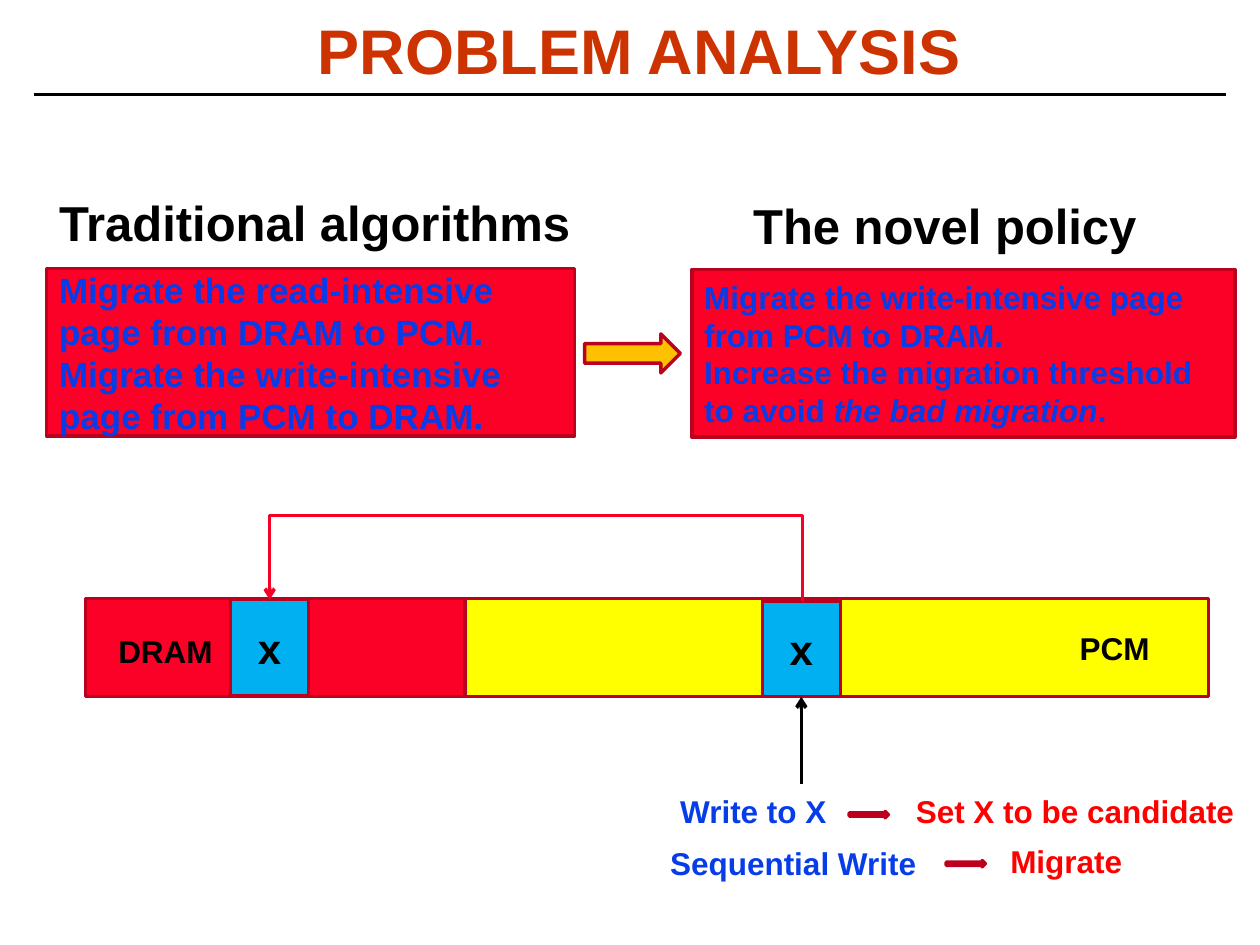
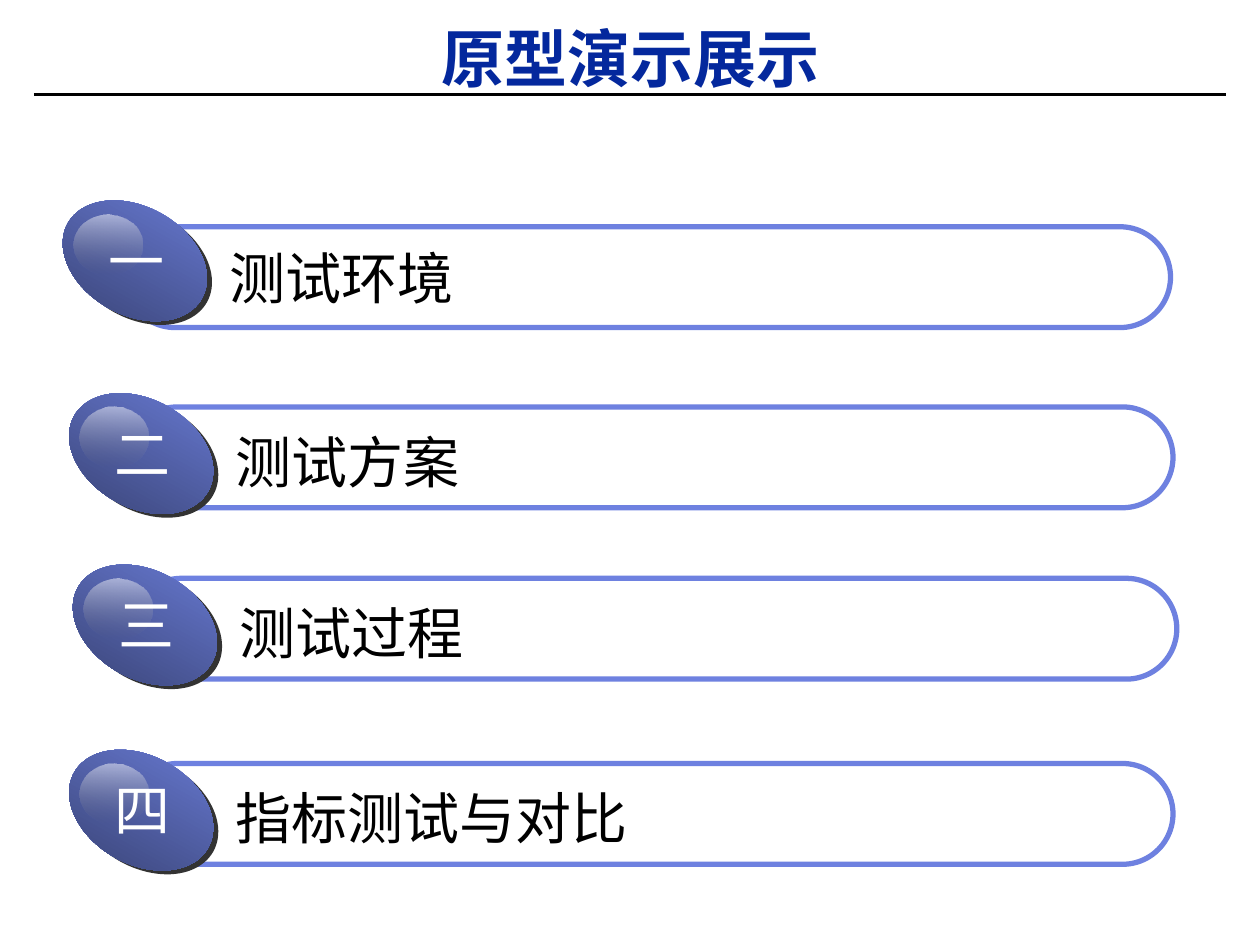
"""Build two slides: a page migration analysis and a prototype demo agenda."""
from pptx import Presentation
from pptx.dml.color import RGBColor
from pptx.enum.shapes import MSO_CONNECTOR as Link, MSO_SHAPE as Preset
from pptx.enum.text import MSO_ANCHOR as Anchor, MSO_AUTO_SIZE as AutoSize, PP_ALIGN as Align
from pptx.oxml.ns import qn
from pptx.util import Inches, Pt
from lxml.etree import SubElement

FONT = "Arial"
COLORS = {
    "black": "000000", "white": "FFFFFF", "orange": "CC3300", "navy": "04289D",
    "blue": "063DE8", "red": "FF0000", "dram": "FC0128", "edge": "BA011E",
    "pcm": "FFFF00", "cell": "00B0F0", "amber": "FFC000", "route": "F70026",
    "pill": "6E81E0", "ball": "333C68", "shade": "333333", "gray": "767676",
}

TITLES = [
    ("PROBLEM ANALYSIS", "orange", (0.26, 0.14, 9.63, 0.58)),
    ("原型演示展示", "navy", (1.14, 0.21, 7.72, 0.79)),
]
POLICIES = [
    ((0.37, 2.13, 4.19, 1.33), 20, [
        "Migrate the read-intensive page from DRAM to PCM.",
        "Migrate the write-intensive page from PCM to DRAM."]),
    ((5.49, 2.14, 4.31, 1.33), 18, [
        "Migrate the write-intensive page from PCM to DRAM.",
        "Increase the migration threshold to avoid *the bad migration*."]),
]
MEMORY = [
    ((3.69, 4.75, 5.9, 0.78), "pcm"),
    ((0.68, 4.75, 3.01, 0.78), "dram"),
]
CELLS = [(6.05, 4.77, 0.62, 0.76), (1.83, 4.76, 0.62, 0.76)]
ARROWS = [
    ((4.64, 2.65, 0.76, 0.31), "amber"),
    ((6.74, 6.44, 0.31, 0.05), "dram"),
    ((7.51, 6.83, 0.31, 0.05), "dram"),
]
LABELS = [
    ("Traditional algorithms", (0.37, 1.48, 4.35, 0.57), 28, "black"),
    ("The novel policy", (5.88, 1.5, 3.7, 0.57), 28, "black"),
    ("DRAM", (0.84, 4.97, 0.99, 0.4), 18, "black"),
    ("PCM", (8.47, 4.94, 0.99, 0.4), 18, "black"),
    ("Write to X", (5.3, 6.24, 1.6, 0.4), 18, "blue"),
    ("Set X to be candidate", (7.17, 6.24, 2.83, 0.4), 18, "red"),
    ("Sequential Write", (5.22, 6.65, 2.19, 0.4), 18, "blue"),
    ("Migrate", (7.92, 6.63, 1.2, 0.4), 18, "red"),
]
AGENDA = [
    ("一", "测试环境", (0.46, 1.64), (0.53, 0.16), 0.16),
    ("二", "测试方案", (0.51, 3.17), (0.5, 0.06), 0.09),
    ("三", "测试过程", (0.54, 4.53), (0.5, 0.06), 0.09),
    ("四", "指标测试与对比", (0.51, 6.0), (0.5, 0.06), 0.09),
]


def rgb(name):
    return RGBColor.from_string(COLORS[name])


def inches(values):
    return [Inches(value) for value in values]


def write(frame, paragraphs, size, color, bold=True, align=Align.LEFT, spacing=None):
    frame.word_wrap = True
    frame.auto_size = AutoSize.NONE
    for index, text in enumerate(paragraphs):
        para = frame.paragraphs[0] if index == 0 else frame.add_paragraph()
        para.alignment = align
        para.line_spacing = spacing
        for part, piece in enumerate(text.split("*")):
            span = para.add_run()
            span.text = piece
            font = span.font
            font.name, font.size, font.bold = FONT, Pt(size), bold
            font.italic = part % 2 == 1
            font.color.rgb = rgb(color)


def add_label(shapes, text, place, size, color, **style):
    box = shapes.add_textbox(*inches(place))
    write(box.text_frame, [text], size, color, **style)


def add_box(shapes, preset, place, fill=None, line=None, width=2):
    box = shapes.add_shape(preset, *inches(place))
    box.shadow.inherit = False
    if fill:
        box.fill.solid()
        box.fill.fore_color.rgb = rgb(fill)
    else:
        box.fill.background()
    if line:
        box.line.color.rgb = rgb(line)
        box.line.width = Pt(width)
    else:
        box.line.fill.background()
    box.text_frame.vertical_anchor = Anchor.MIDDLE
    return box


def shade(box, colors, opacities=()):
    box.fill.gradient()
    box.fill.gradient_angle = 270
    for stop, color in zip(box.fill.gradient_stops, colors):
        stop.color.rgb = rgb(color)
    for node, opacity in zip(box.element.iter(qn("a:srgbClr")), opacities):
        SubElement(node, qn("a:alpha")).set("val", str(opacity * 1000))


def add_line(shapes, kind, start, end, color, width, arrow=False):
    line = shapes.add_connector(kind, *inches(start + end))
    line.line.color.rgb = rgb(color)
    line.line.width = Pt(width)
    if arrow:
        SubElement(line.line._get_or_add_ln(), qn("a:tailEnd")).set("type", "arrow")
    SubElement(line.element.spPr, qn("a:effectLst"))
    return line


def add_page(deck, text, color, place):
    page = deck.slides.add_slide(deck.slide_layouts[5])
    title = page.shapes.title
    title.left, title.top, title.width, title.height = inches(place)
    frame = title.text_frame
    frame.vertical_anchor = Anchor.TOP
    frame.margin_left = frame.margin_right = Inches(0.07)
    frame.margin_top = frame.margin_bottom = Inches(0.03)
    write(frame, [text], 36, color, align=Align.CENTER, spacing=0.87)
    add_line(page.shapes, Link.STRAIGHT, (0.27, 0.75), (9.73, 0.75), "black", 1.5)
    return page


def add_migration_route(shapes):
    span, rise = 0.01, 0.69
    route = add_line(shapes, Link.ELBOW, (4.25, 6.88), (4.25 + span, 2.65), "route", 2, True)
    route.element.spPr.find(qn("a:xfrm")).set("rot", str(270 * 60000))
    geometry = route.element.spPr.find(qn("a:prstGeom"))
    adjust = geometry.find(qn("a:avLst"))
    if adjust is None:
        adjust = SubElement(geometry, qn("a:avLst"))
    guide = SubElement(adjust, qn("a:gd"))
    guide.set("name", "adj1")
    guide.set("fmla", f"val {round(rise / span * 100000)}")


def build_analysis(deck):
    shapes = add_page(deck, *TITLES[0]).shapes
    for place, size, paragraphs in POLICIES:
        box = add_box(shapes, Preset.RECTANGLE, place, "dram", "edge")
        write(box.text_frame, paragraphs, size, "blue")
    for place, fill in MEMORY:
        add_box(shapes, Preset.RECTANGLE, place, fill, "edge")
    for place, fill in ARROWS:
        add_box(shapes, Preset.RIGHT_ARROW, place, fill, "edge")
    for place in CELLS:
        cell = add_box(shapes, Preset.RECTANGLE, place, "cell", "edge")
        write(cell.text_frame, ["x"], 24, "black", align=Align.CENTER)
    for label in LABELS:
        add_label(shapes, *label)
    add_line(shapes, Link.STRAIGHT, (6.36, 6.22), (6.36, 5.53), "black", 2, True)
    add_migration_route(shapes)


def build_agenda(deck):
    page = add_page(deck, *TITLES[1])
    for number, topic, (left, top), (pill_x, pill_y), topic_y in AGENDA:
        shapes = page.shapes.add_group_shape().shapes
        pill = add_box(shapes, Preset.ROUNDED_RECTANGLE,
                       (left + pill_x, top + pill_y, 8.3, 0.8), None, "pill", 3)
        pill.adjustments[0] = 0.5
        shadow = add_box(shapes, Preset.OVAL, (left + 0.04, top + 0.03, 1.22, 0.86), "shade")
        ball = add_box(shapes, Preset.OVAL, (left, top, 1.22, 0.86))
        shadow.rotation = ball.rotation = 29.3
        shade(ball, ("pill", "ball"))
        shine = add_box(shapes, Preset.OVAL, (left + 0.12, top + 0.06, 0.55, 0.48))
        shade(shine, ("white", "gray"), (50, 0))
        style = {"bold": False, "spacing": 1.15}
        add_label(shapes, topic, (left + 1.26, top + topic_y, 7.54, 0.72), 32, "black", **style)
        add_label(shapes, number, (left + 0.3, top + 0.03, 0.65, 0.66), 32, "white", **style)


def main():
    deck = Presentation()
    deck.slide_width, deck.slide_height = Inches(10), Inches(7.5)
    build_analysis(deck)
    build_agenda(deck)
    deck.save("out.pptx")


if __name__ == "__main__":
    main()
